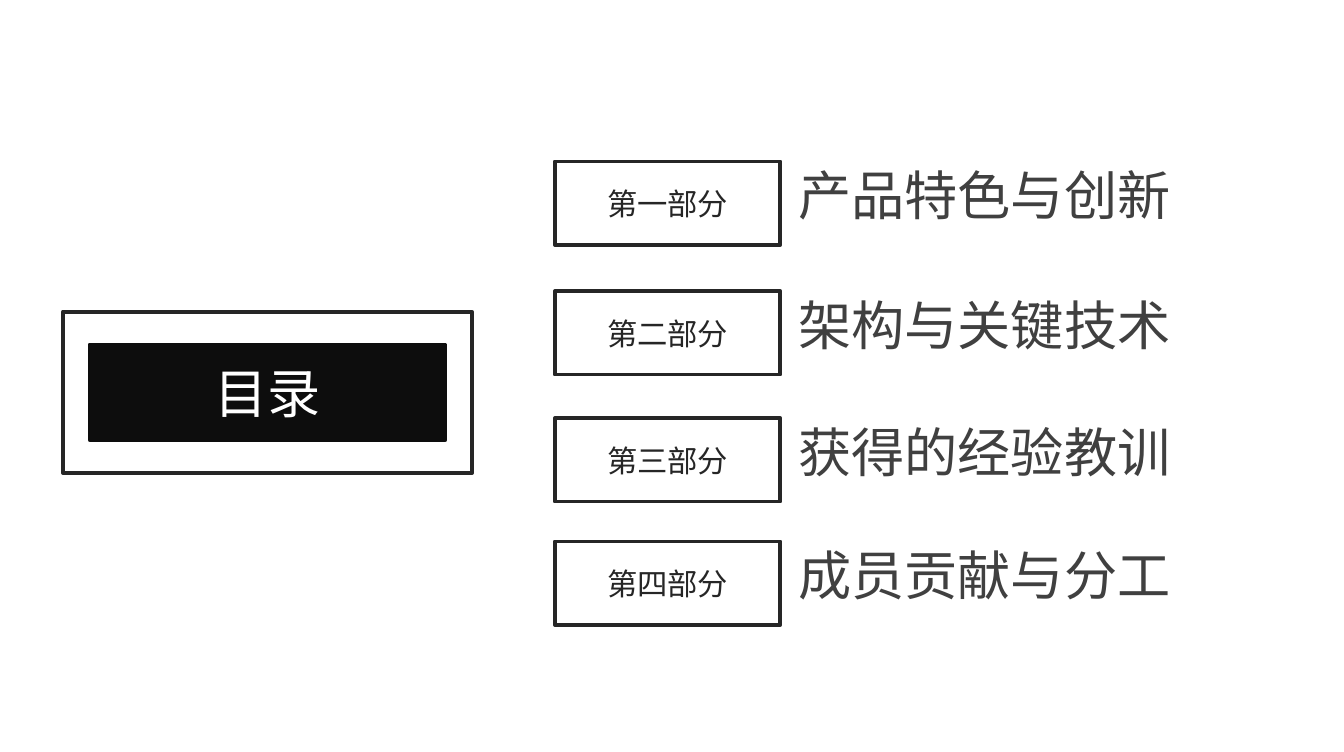
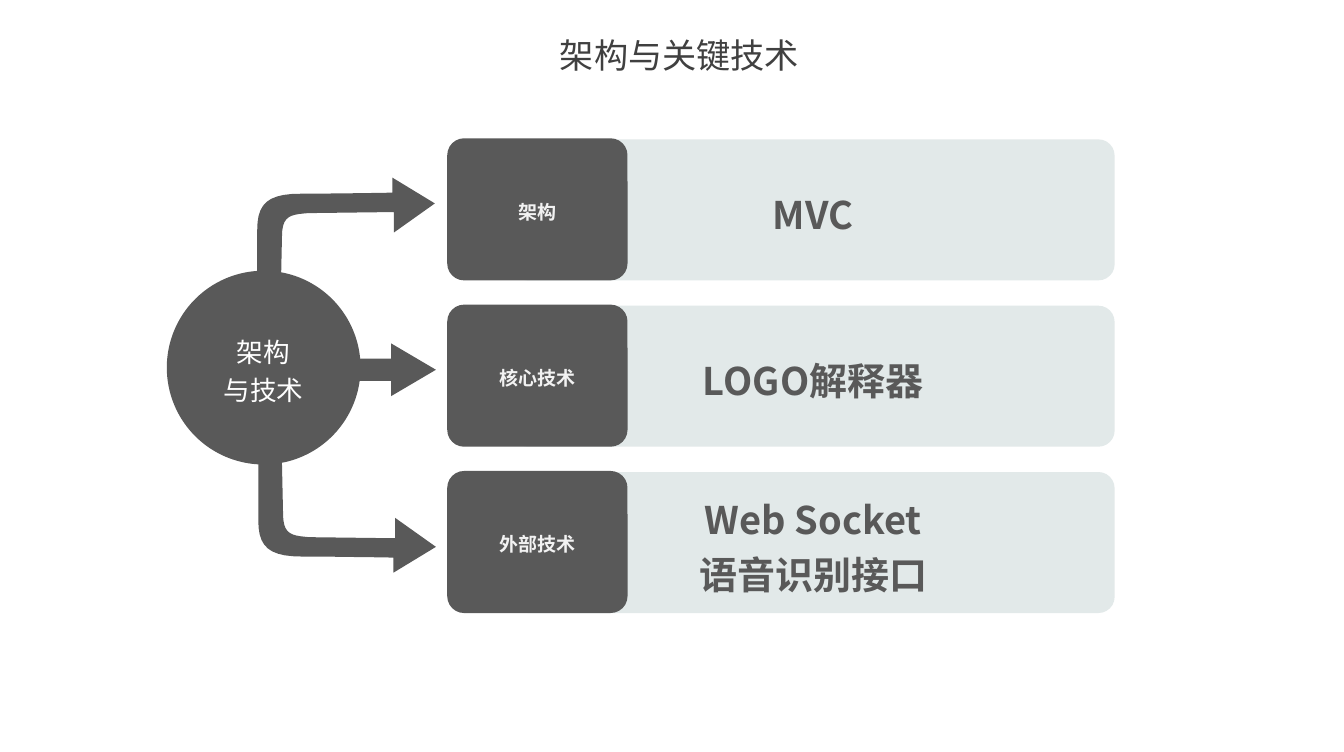
"""Build a contents slide and an architecture slide that share one style."""
from lxml import etree
from pptx import Presentation
from pptx import util as u
from pptx.dml.color import RGBColor
from pptx.enum import shapes, text
from pptx.oxml.ns import qn

COLORS = {"ink": "262626", "black": "0D0D0D", "gray": "595959", "body": "404040",
          "panel": "E2E9E9", "pale": "F2F2F2", "white": "FFFFFF"}
CJK, LATIN = "Noto Sans CJK SC", "Roboto"
KIND = shapes.MSO_SHAPE
STYLES = {
    "cover": dict(size=28, color="white"),
    "chip": dict(size=16, color="ink", font=LATIN),
    "entry": dict(size=28, color="body", before=6, inset=0, wrap=False),
    "heading": dict(size=18, color="body", before=4, inset=0, wrap=False),
    "hub": dict(size=14, color="white", spacing=1.2),
    "label": dict(size=10, color="pale", bold=True, spacing=1.2),
    "panel": dict(size=20, color="gray", bold=True, spacing=1.2),
}
PARTS = [("第一部分", "产品特色与创新", 3.0), ("第二部分", "架构与关键技术", 5.41),
         ("第三部分", "获得的经验教训", 7.77), ("第四部分", "成员贡献与分工", 10.06)]
TOPICS = [("架构", ["MVC"]), ("核心技术", ["LOGO解释器"]),
          ("外部技术", ["Web Socket", "语音识别接口"])]
BEND = [[(0.41, 3.38)], [(0.46, 1.09)], [(0.46, 0.69), (0.64, 0.69), (0.94, 0.66)],
        [(2.54, 0.64)], [(2.54, 1.02)], [(3.3, 0.48)], [(2.51, 0)], [(2.51, 0.28)],
        [(2.51, 0.28), (1.42, 0.3), (0.81, 0.3)], [(0.2, 0.3), (0, 0.48), (0, 0.97)],
        [(0, 3.43)]]


def rgb(name):
    """Return the named palette colour."""
    return RGBColor.from_string(COLORS[name])


def apply(obj, values):
    """Set every attribute in a dict of format values."""
    for name, value in values.items():
        setattr(obj, name, value)


def write(sp, lines, size, color, font=CJK, bold=False, spacing=1.0, before=0,
          inset=0.13, wrap=True):
    """Write centred paragraphs into a shape."""
    tf = sp.text_frame
    apply(tf, {"word_wrap": wrap, "auto_size": text.MSO_AUTO_SIZE.NONE,
               "vertical_anchor": text.MSO_ANCHOR.MIDDLE})
    apply(tf, {f"margin_{side}": u.Cm(inset) for side in ("left", "top", "right", "bottom")})
    for i, line in enumerate(lines):
        p = tf.add_paragraph() if i else tf.paragraphs[0]
        apply(p, {"alignment": text.PP_ALIGN.CENTER, "line_spacing": spacing,
                  "space_before": u.Pt(before)})
        r = p.add_run()
        r.text = line
        apply(r.font, {"name": font, "size": u.Pt(size), "bold": bold})
        r.font.color.rgb = rgb(color)
        etree.SubElement(r.font._element, qn("a:ea")).set("typeface", font)


def paint(sp, fill=None, line=None):
    """Give a shape a fill and a line, or none."""
    if fill:
        sp.fill.solid()
        sp.fill.fore_color.rgb = rgb(fill)
    else:
        sp.fill.background()
    if line:
        sp.line.width = u.Pt(2)
        sp.line.color.rgb = rgb(line)
    else:
        sp.line.fill.background()


def add_block(s, kind, box, fill=None, line=None, lines=(), style=None, adj=()):
    """Add a preset shape with optional text."""
    sp = s.shapes.add_shape(kind, *map(u.Cm, box))
    sp.shadow.inherit = False
    paint(sp, fill, line)
    for i, value in enumerate(adj):
        sp.adjustments[i] = value
    if lines:
        write(sp, lines, **STYLES[style])
    return sp


def add_title(s, box, title, style):
    """Move the title placeholder to its box and format it."""
    sp = s.shapes.title
    apply(sp, dict(zip(("left", "top", "width", "height"), map(u.Cm, box))))
    write(sp, [title], **STYLES[style])
    return sp


def add_entry(s, x, y, part, topic):
    """Add a framed part number and its topic."""
    add_block(s, KIND.RECTANGLE, (x, y, 4.19, 1.55), line="ink", lines=[part], style="chip")
    sp = s.shapes.add_textbox(*map(u.Cm, (x + 4.5, y - 0.1, 6.96, 1.42)))
    write(sp, [topic], **STYLES["entry"])


def add_cover(s, x, y, w, h):
    """Add the framed black title block."""
    sp = add_title(s, (x + 0.5, y + 0.61, w - 1.0, h - 1.22), "目录", "cover")
    paint(sp, "black", "black")
    add_block(s, KIND.RECTANGLE, (x, y, w, h), line="ink")


def trace(segments, steps=10):
    """Turn line and cubic curve segments into points."""
    points = []
    for seg in segments:
        if len(seg) == 1:
            points += seg
            continue
        curve = [points[-1], *seg]
        for i in range(1, steps + 1):
            t = i / steps
            weights = ((1 - t) ** 3, 3 * t * (1 - t) ** 2, 3 * t * t * (1 - t), t ** 3)
            points.append(tuple(sum(k * c[axis] for k, c in zip(weights, curve))
                                for axis in (0, 1)))
    return points


def add_bent_arrow(s, x, y, direction):
    """Add a bent arrow running down (1) or up (-1) from its outer edge y."""
    points = [(u.Cm(x + px), u.Cm(y + direction * py)) for px, py in trace(BEND)]
    fb = s.shapes.build_freeform(*points[0])
    fb.add_line_segments(points[1:], close=True)
    sp = fb.convert_to_shape()
    sp.shadow.inherit = False
    paint(sp, "gray")


def add_hub(s, x, y):
    """Add the round hub and its three arrows."""
    add_bent_arrow(s, x + 1.68, y - 1.73, 1)
    add_bent_arrow(s, x + 1.7, y + 5.61, -1)
    add_block(s, KIND.RIGHT_ARROW, (x + 1.09, y + 1.35, 3.91, 0.98), "gray", adj=(0.42, 0.85))
    add_block(s, KIND.OVAL, (x, y, 3.6, 3.6), "gray", lines=["架构", "与技术"], style="hub")


def add_topic(s, x, y, label, lines):
    """Add a wide panel with a dark label over its left end."""
    add_block(s, KIND.ROUNDED_RECTANGLE, (x + 1.2, y + 0.02, 11.2, 2.62), "panel",
              lines=lines, style="panel", adj=[0.115])
    add_block(s, KIND.ROUNDED_RECTANGLE, (x, y, 3.35, 2.64), "gray",
              lines=[label], style="label", adj=[0.119])


def contents_slide(s):
    """Build the contents slide."""
    add_cover(s, 1.17, 5.79, 7.6, 3.0)
    for part, topic, y in PARTS:
        add_entry(s, 10.31, y, part, topic)


def architecture_slide(s):
    """Build the architecture slide."""
    add_title(s, (10.39, 0.58, 4.47, 0.89), "架构与关键技术", "heading")
    add_hub(s, 3.1, 5.03)
    for i, (label, lines) in enumerate(TOPICS):
        add_topic(s, 8.31, 2.57 + 3.09 * i, label, lines)


def main():
    """Build and save the presentation."""
    prs = Presentation()
    apply(prs, {"slide_width": u.Cm(24.97), "slide_height": u.Cm(13.97)})
    for build in (contents_slide, architecture_slide):
        build(prs.slides.add_slide(prs.slide_layouts[5]))
    prs.save("out.pptx")


if __name__ == "__main__":
    main()
